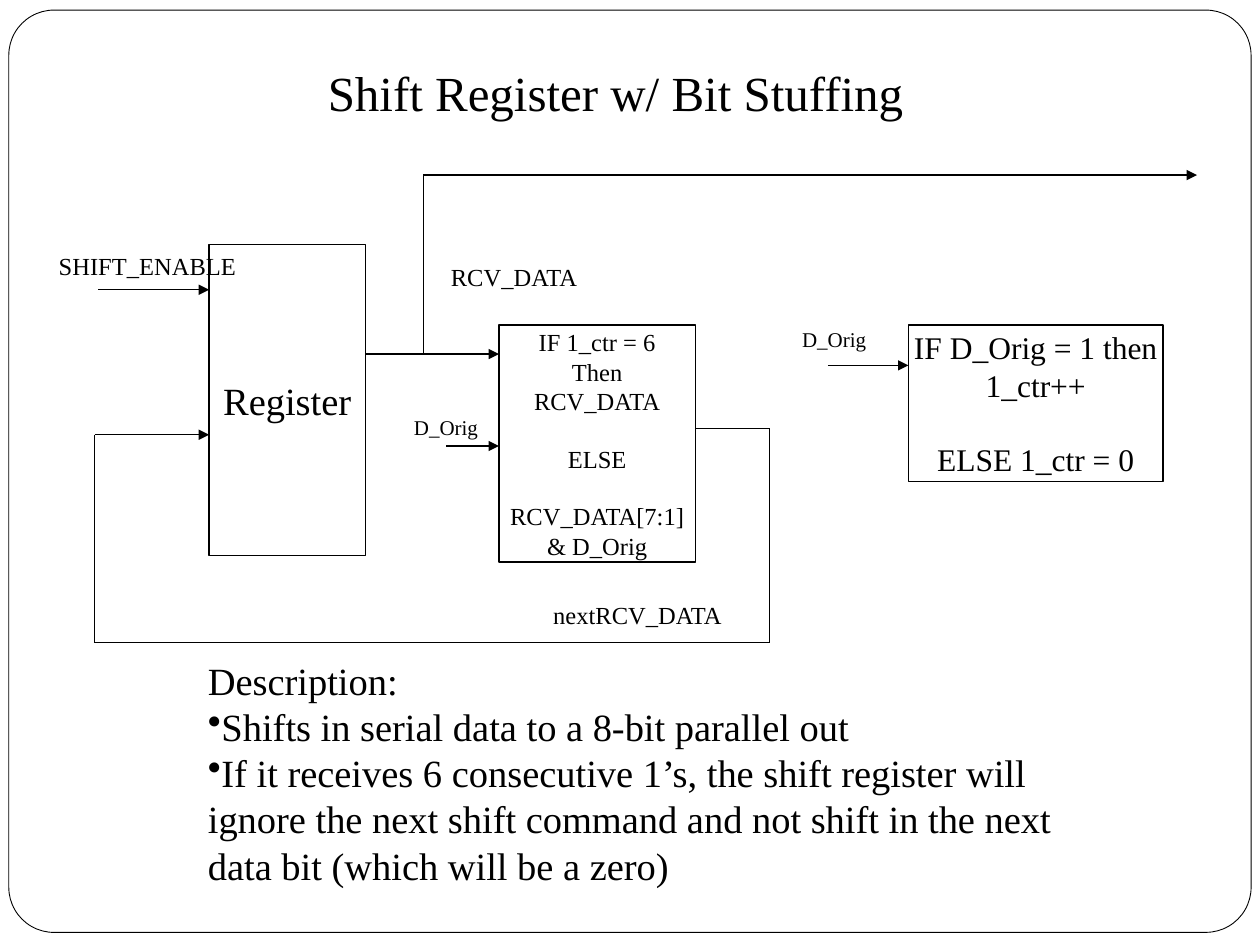
from itertools import pairwise

from lxml.etree import SubElement
from pptx import Presentation
from pptx.dml.color import RGBColor
from pptx.enum.shapes import MSO_CONNECTOR, MSO_SHAPE
from pptx.enum.text import MSO_ANCHOR, PP_ALIGN
from pptx.oxml.ns import qn
from pptx.util import Inches, Pt

BLACK = RGBColor(0, 0, 0)
WHITE = RGBColor(255, 255, 255)
FONT = "Times New Roman"


def write(sp, lines, size, align=PP_ALIGN.CENTER, gaps=(), bullets=(), left=0.04):
    """Fill a shape with paragraphs; gaps and bullets hold paragraph indexes."""
    tf = sp.text_frame
    tf.word_wrap = True
    tf.vertical_anchor = MSO_ANCHOR.MIDDLE
    tf.margin_left = Inches(left)
    tf.margin_right = tf.margin_top = tf.margin_bottom = Inches(0.04)
    for i, line in enumerate(lines):
        p = tf.paragraphs[0] if i == 0 else tf.add_paragraph()
        p.alignment = align
        if i in gaps:
            p.space_before = Pt(size * 1.15)
        if i in bullets:
            SubElement(p._p.get_or_add_pPr(), qn("a:buChar"), char="•")
        r = p.add_run()
        r.text = line
        r.font.name, r.font.size = FONT, Pt(size)
        r.font.color.rgb = BLACK


def add_text(slide, box, lines, size, **fmt):
    write(slide.shapes.add_textbox(*map(Inches, box)), lines, size, **fmt)


def add_outline(slide, box, kind=MSO_SHAPE.RECTANGLE, width=0.75):
    sp = slide.shapes.add_shape(kind, *map(Inches, box))
    sp.shadow.inherit = False
    sp.fill.background()
    sp.line.color.rgb = BLACK
    sp.line.width = Pt(width)
    return sp


def add_block(slide, box, lines, size, **fmt):
    write(add_outline(slide, box), lines, size, **fmt)


def add_wire(slide, *points, arrow=True):
    """Join the points with straight lines, the last one ending in an arrow."""
    for start, end in pairwise(points):
        line = slide.shapes.add_connector(
            MSO_CONNECTOR.STRAIGHT, *map(Inches, start + end))
        line.line.color.rgb = BLACK
        line.line.width = Pt(0.75)
        if arrow and end == points[-1]:
            SubElement(line.line._get_or_add_ln(), qn("a:tailEnd"), type="triangle")
        SubElement(line._element.spPr, qn("a:effectLst"))


def add_frame(slide, box):
    frame = add_outline(slide, box, MSO_SHAPE.ROUNDED_RECTANGLE, 0.5)
    frame.adjustments[0] = 0.049
    frame.fill.solid()
    frame.fill.fore_color.rgb = WHITE


def add_register(slide, box):
    x, y, w, h = box
    add_block(slide, box, ["Register"], 22)
    add_wire(slide, (x - 0.88, y + 0.36), (x, y + 0.36))
    add_text(slide, (x - 1.24, y + 0.02, 1.5, 0.3), ["SHIFT_ENABLE"], 14)


def add_stuffing_logic(slide, box):
    x, y, w, h = box
    add_block(slide, box, ["IF 1_ctr = 6", "Then", "RCV_DATA", "ELSE",
                           "RCV_DATA[7:1]", "& D_Orig"], 14, gaps=(3, 4))
    add_wire(slide, (x - 0.42, y + 0.96), (x, y + 0.96))
    add_text(slide, (x - 0.79, y + 0.71, 0.74, 0.2), ["D_Orig"], 12)


def add_ones_counter(slide, box):
    x, y, w, h = box
    add_block(slide, box, ["IF D_Orig = 1 then 1_ctr++", "ELSE 1_ctr = 0"],
              18, gaps=(1,))
    add_wire(slide, (x - 0.64, y + 0.32), (x, y + 0.32))
    add_text(slide, (x - 1.04, y - 0.04, 0.9, 0.31), ["D_Orig"], 12)


def add_data_paths(slide, register, logic):
    """Wire the register output to the logic and feed its result back."""
    reg_left, reg_right = register[0], register[0] + register[2]
    logic_left, logic_right = logic[0], logic[0] + logic[2]
    add_wire(slide, (reg_right, 2.81), (logic_left, 2.81))
    add_wire(slide, (3.36, 2.81), (3.36, 1.39), (9.5, 1.39))
    add_wire(slide, (logic_right, 3.4), (6.11, 3.4), (6.11, 5.1),
             (0.75, 5.1), (0.75, 3.45), (reg_left, 3.45))
    add_text(slide, (3.41, 2.04, 1.34, 0.31), ["RCV_DATA"], 14)
    add_text(slide, (4.28, 4.71, 1.56, 0.34), ["nextRCV_DATA"], 14)


def add_description(slide, box):
    add_text(slide, box, [
        "Description:",
        "Shifts in serial data to a 8-bit parallel out",
        "If it receives 6 consecutive 1’s, the shift register will ignore the next "
        "shift command and not shift in the next data bit (which will be a zero)",
    ], 22, align=PP_ALIGN.LEFT, bullets=(1, 2), left=0.27)


def main():
    prs = Presentation()
    prs.slide_width, prs.slide_height = Inches(10), Inches(7.5)
    slide = prs.slides.add_slide(prs.slide_layouts[6])
    register = (1.66, 1.94, 1.24, 2.47)
    logic = (3.96, 2.58, 1.56, 1.88)
    add_frame(slide, (0.07, 0.08, 9.86, 7.32))
    add_text(slide, (2.16, 0.5, 5.45, 0.46), ["Shift Register w/ Bit Stuffing"], 28)
    add_register(slide, register)
    add_stuffing_logic(slide, logic)
    add_ones_counter(slide, (7.21, 2.58, 2.02, 1.24))
    add_data_paths(slide, register, logic)
    add_description(slide, (1.38, 5.42, 7.24, 1.42))
    prs.save("out.pptx")


if __name__ == "__main__":
    main()
